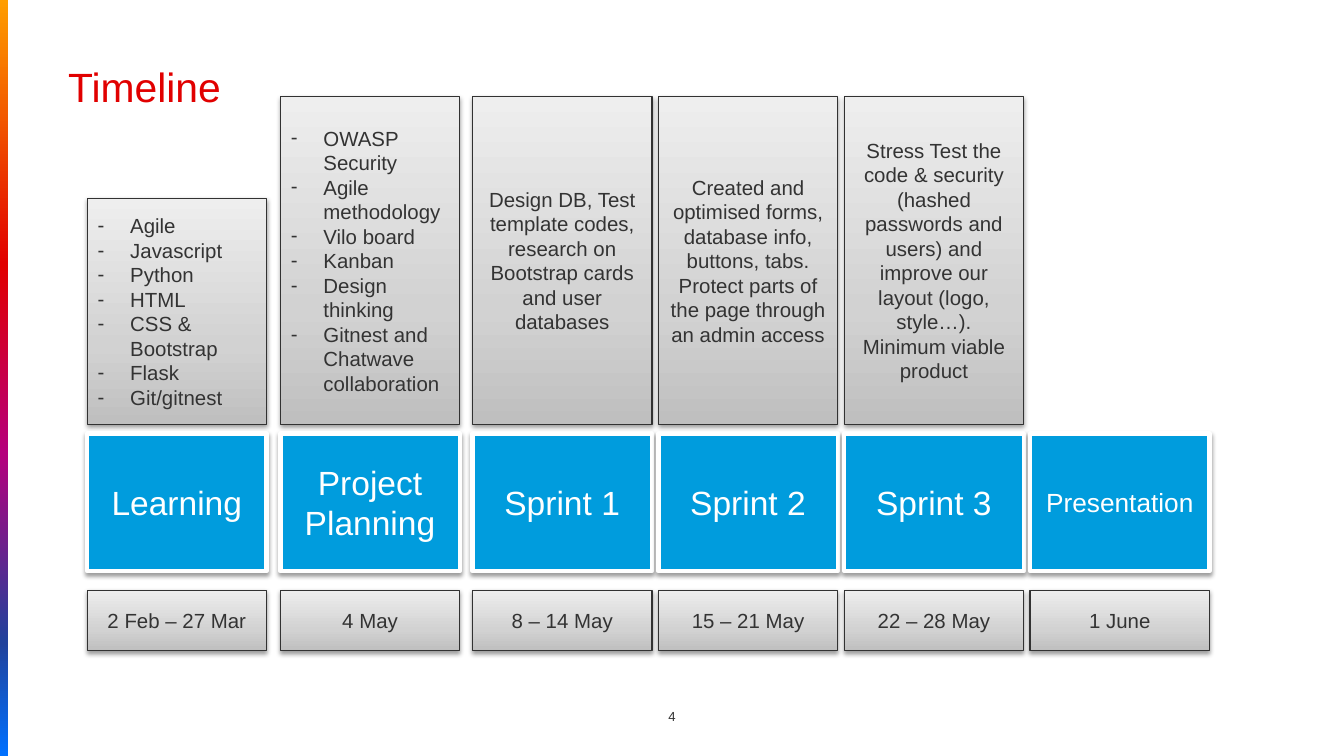
"""Build a project timeline slide with topics, phases and dates."""
from dataclasses import dataclass

import lxml.etree
import pptx
import pptx.dml.color
import pptx.enum.shapes
import pptx.enum.text
import pptx.oxml.ns
import pptx.shapes.autoshape
import pptx.slide
import pptx.text.text
import pptx.util

Inches = pptx.util.Inches
Pt = pptx.util.Pt
RGB = pptx.dml.color.RGBColor.from_string
qn = pptx.oxml.ns.qn
Align = pptx.enum.text.PP_ALIGN
Anchor = pptx.enum.text.MSO_ANCHOR
Shape = pptx.shapes.autoshape.Shape
Stops = tuple[tuple[int, str], ...]


@dataclass(frozen=True)
class Theme:
    font: str = "Arial"
    title: str = "E10000"
    text: str = "333333"
    edge: str = "323232"
    blue: str = "009CDD"
    white: str = "FFFFFF"
    shade: str = "000000"
    gray: Stops = ((0, "BFBFBF"), (35, "D2D2D2"), (100, "EEEEEE"))
    rainbow: Stops = ((0, "FF9E00"), (35, "E10000"), (60, "B5007D"),
                      (85, "21429C"), (100, "0071FF"))
    head_size: float = 28
    phase_size: float = 23
    small_size: float = 18
    note_size: float = 14
    page_size: float = 9


@dataclass(frozen=True)
class Box:
    left: float
    top: float
    width: float
    height: float


@dataclass(frozen=True)
class Phase:
    left: float
    name: str
    date: str
    size: float
    note: str = ""
    topics: tuple[str, ...] = ()
    note_top: float = 0.92


THEME = Theme()
WIDTH = 1.71
NOTE_END = 4.04
SPRINT_LEFT, STEP = 4.5, 1.77

PHASES = (
    Phase(0.83, "Learning", "2 Feb – 27 Mar", THEME.phase_size, note_top=1.89,
          topics=("Agile", "Javascript", "Python", "HTML", "CSS & Bootstrap",
                  "Flask", "Git/gitnest")),
    Phase(2.67, "Project Planning", "4 May", THEME.phase_size,
          topics=("OWASP Security", "Agile methodology", "Vilo board", "Kanban",
                  "Design thinking", "Gitnest and Chatwave collaboration")),
    Phase(SPRINT_LEFT, "Sprint 1", "8 – 14 May", THEME.phase_size,
          "Design DB, Test template codes, research on Bootstrap cards "
          "and user databases"),
    Phase(SPRINT_LEFT + STEP, "Sprint 2", "15 – 21 May", THEME.phase_size,
          "Created and optimised forms, database info, buttons, tabs. "
          "Protect parts of the page through an admin access"),
    Phase(SPRINT_LEFT + 2 * STEP, "Sprint 3", "22 – 28 May", THEME.phase_size,
          "Stress Test the code & security (hashed passwords and users) and "
          "improve our layout (logo, style…).\nMinimum viable product"),
    Phase(SPRINT_LEFT + 3 * STEP, "Presentation", "1 June", THEME.small_size),
)


def place(shape: Shape, box: Box) -> None:
    """Move and size a shape."""
    shape.left, shape.top = Inches(box.left), Inches(box.top)
    shape.width, shape.height = Inches(box.width), Inches(box.height)


def add_rect(slide: pptx.slide.Slide, box: Box) -> Shape:
    """Add a plain rectangle."""
    shape = slide.shapes.add_shape(
        pptx.enum.shapes.MSO_SHAPE.RECTANGLE, 0, 0, 0, 0)
    place(shape, box)
    shape.shadow.inherit = False
    return shape


def blend(shape: Shape, stops: Stops, angle: float) -> None:
    """Fill a shape with a linear gradient."""
    shape.fill.gradient()
    shape.fill.gradient_angle = angle
    holder = next(shape.element.iter(qn("a:gsLst")))
    for old in list(holder):
        holder.remove(old)
    for spot, color in stops:
        stop = lxml.etree.SubElement(holder, qn("a:gs"), pos=str(spot * 1000))
        lxml.etree.SubElement(stop, qn("a:srgbClr"), val=color)


def outline(shape: Shape, color: str, width: float) -> None:
    """Draw the edge of a shape and a soft shadow below it."""
    shape.line.color.rgb = RGB(color)
    shape.line.width = Pt(width)
    shape.shadow.inherit = False
    effects = next(shape.element.iter(qn("a:effectLst")))
    shadow = lxml.etree.SubElement(
        effects, qn("a:outerShdw"), blurRad="40000", dist="20000",
        dir="5400000", rotWithShape="0")
    tint = lxml.etree.SubElement(shadow, qn("a:srgbClr"), val=THEME.shade)
    lxml.etree.SubElement(tint, qn("a:alpha"), val="38000")


def add_run(para: pptx.text.text._Paragraph, text: str, size: float,
            color: str) -> None:
    """Add styled text, with a line break at each newline."""
    for index, line in enumerate(text.split("\n")):
        if index:
            para.add_line_break()
        run = para.add_run()
        run.text = line
        run.font.name = THEME.font
        run.font.size = Pt(size)
        run.font.color.rgb = RGB(color)


def write(shape: Shape, text: str, size: float, color: str,
          anchor: Anchor = Anchor.MIDDLE) -> None:
    """Write one centred paragraph in a shape."""
    frame = shape.text_frame
    frame.word_wrap = True
    frame.vertical_anchor = anchor
    para = frame.paragraphs[0]
    para.alignment = Align.CENTER
    add_run(para, text, size, color)


def write_list(shape: Shape, topics: tuple[str, ...]) -> None:
    """Write a list with dashes in a body placeholder."""
    frame = shape.text_frame
    frame.word_wrap = True
    frame.auto_size = pptx.enum.text.MSO_AUTO_SIZE.NONE
    frame.vertical_anchor = Anchor.MIDDLE
    for index, topic in enumerate(topics):
        para = frame.add_paragraph() if index else frame.paragraphs[0]
        para.space_before = Pt(0)
        props = para._p.get_or_add_pPr()
        props.set("marL", str(Inches(0.31)))
        props.set("indent", str(Inches(-0.31)))
        lxml.etree.SubElement(props, qn("a:buChar"), char="-")
        add_run(para, topic, THEME.note_size, THEME.text)


def add_title(slide: pptx.slide.Slide) -> None:
    """Write the slide title."""
    title = slide.shapes.title
    place(title, Box(0.65, 0.64, 11.49, 1.11))
    frame = title.text_frame
    frame.auto_size = pptx.enum.text.MSO_AUTO_SIZE.NONE
    frame.vertical_anchor = Anchor.TOP
    frame.margin_left = frame.margin_right = 0
    frame.margin_top = frame.margin_bottom = 0
    para = frame.paragraphs[0]
    para.alignment = Align.LEFT
    para.line_spacing = Pt(30)
    add_run(para, "Timeline", THEME.head_size, THEME.title)


def add_phase(slide: pptx.slide.Slide, phase: Phase, bodies: list) -> None:
    """Stack the notes, name and date of one phase."""
    name = add_rect(slide, Box(phase.left, 4.13, WIDTH, 1.31))
    name.fill.solid()
    name.fill.fore_color.rgb = RGB(THEME.blue)
    outline(name, THEME.white, 3)
    write(name, phase.name, phase.size, THEME.white)

    date = add_rect(slide, Box(phase.left, 5.62, WIDTH, 0.58))
    write(date, phase.date, THEME.note_size, THEME.text)
    panels = [date]
    space = Box(phase.left, phase.note_top, WIDTH, NOTE_END - phase.note_top)
    if phase.topics:
        body = bodies.pop(0)
        place(body, space)
        write_list(body, phase.topics)
        panels.append(body)
    elif phase.note:
        note = add_rect(slide, space)
        write(note, phase.note, THEME.note_size, THEME.text)
        panels.append(note)
    for panel in panels:
        blend(panel, THEME.gray, 90)
        outline(panel, THEME.edge, 0.75)


def main() -> None:
    """Build and save the deck."""
    deck = pptx.Presentation()
    deck.slide_width, deck.slide_height = Inches(12.8), Inches(7.2)
    slide = deck.slides.add_slide(deck.slide_layouts[3])
    bodies = list(slide.placeholders)[1:]
    stripe = add_rect(slide, Box(-3.56, 3.56, 7.2, 0.08))
    stripe.rotation = 90
    blend(stripe, THEME.rainbow, 0)
    stripe.line.fill.background()
    add_title(slide)
    for phase in PHASES:
        add_phase(slide, phase, bodies)
    page = slide.shapes.add_textbox(0, 0, 0, 0)
    place(page, Box(6.06, 6.67, 0.68, 0.28))
    write(page, "4", THEME.page_size, THEME.text, Anchor.BOTTOM)
    deck.save("out.pptx")


if __name__ == "__main__":
    main()
